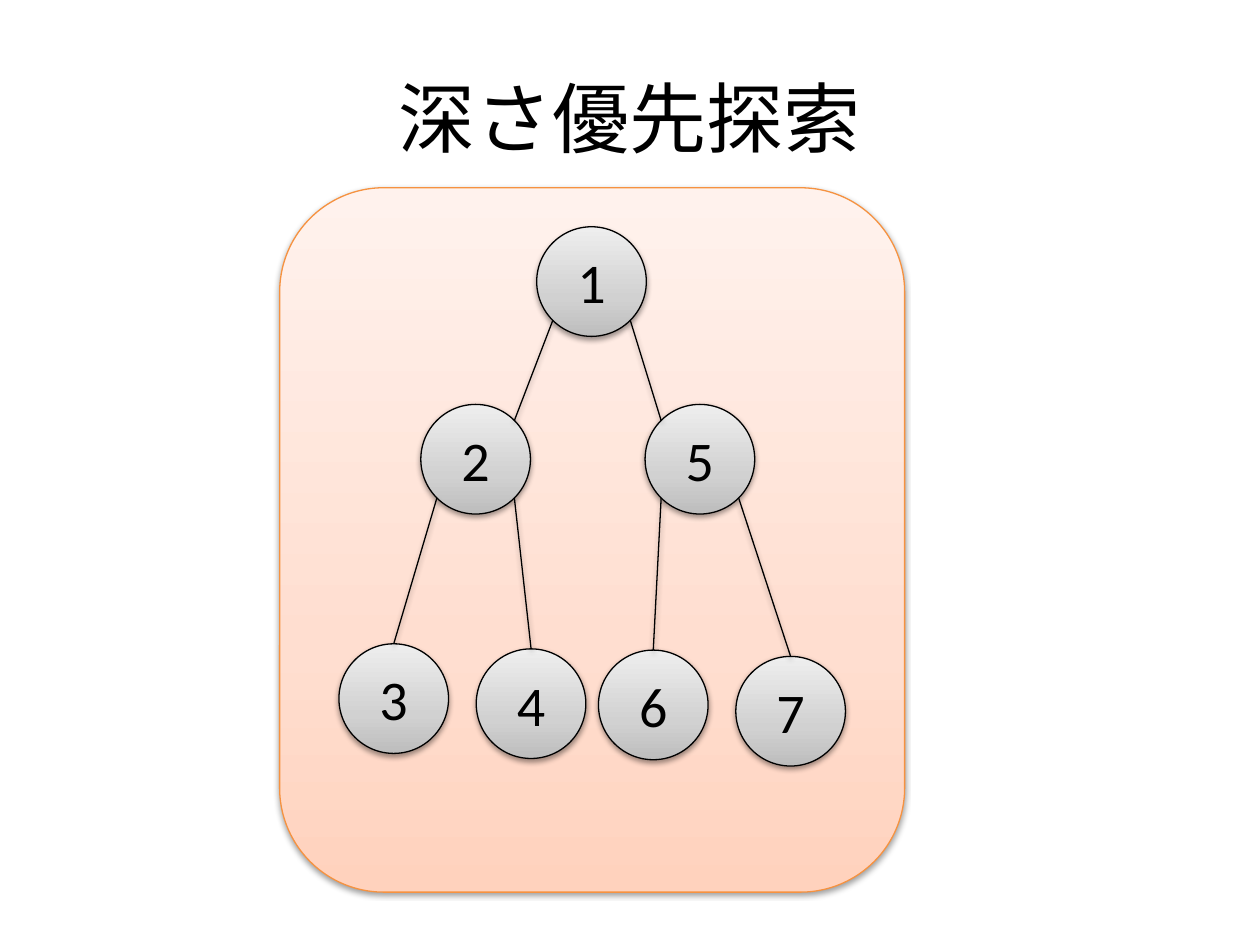
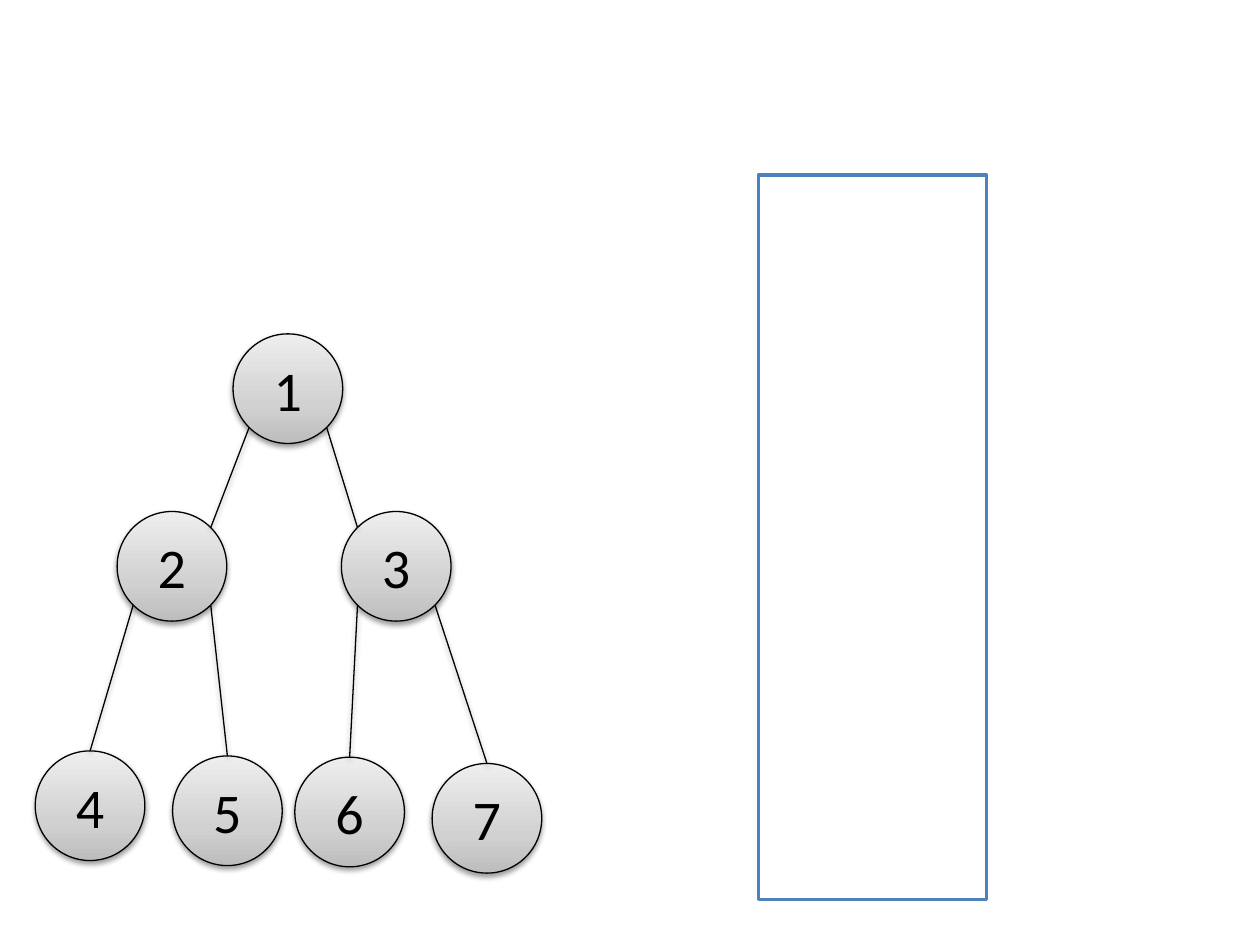
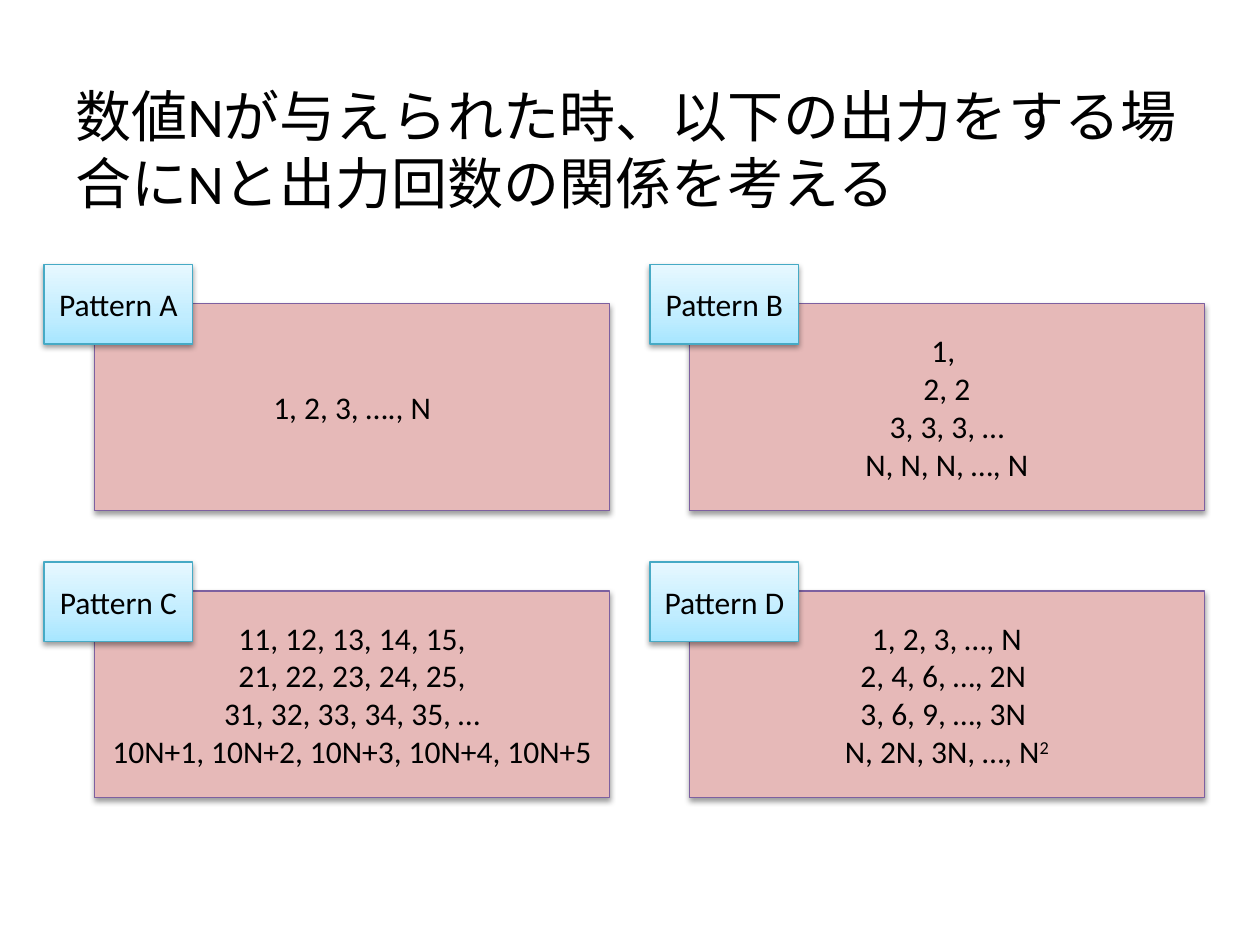
from math import sqrt

from lxml import etree
from pptx import Presentation
from pptx.dml.color import RGBColor
from pptx.enum.shapes import MSO_CONNECTOR, MSO_SHAPE
from pptx.enum.text import MSO_ANCHOR, PP_ALIGN
from pptx.oxml.ns import qn
from pptx.util import Inches, Pt

RECTANGLE = MSO_SHAPE.RECTANGLE
ROUNDED = MSO_SHAPE.ROUNDED_RECTANGLE
OVAL = MSO_SHAPE.OVAL
STRAIGHT = MSO_CONNECTOR.STRAIGHT
CENTER, LEFT = PP_ALIGN.CENTER, PP_ALIGN.LEFT
MIDDLE, TOP = MSO_ANCHOR.MIDDLE, MSO_ANCHOR.TOP

BLACK = RGBColor(0x00, 0x00, 0x00)
WHITE = RGBColor(0xFF, 0xFF, 0xFF)
BLUE = RGBColor(0x4F, 0x81, 0xBD)
ORANGE = RGBColor(0xF6, 0x92, 0x40)
TEAL = RGBColor(0x46, 0xAA, 0xC5)
PURPLE = RGBColor(0x7D, 0x60, 0xA0)
PINK = RGBColor(0xE6, 0xB9, 0xB8)
GRAYS = (RGBColor(0xBD, 0xBD, 0xBD), RGBColor(0xD1, 0xD1, 0xD1), RGBColor(0xEE, 0xEE, 0xEE))
PEACHES = (RGBColor(0xFF, 0xD2, 0xBD), RGBColor(0xFF, 0xDE, 0xD0), RGBColor(0xFF, 0xF2, 0xED))
SKIES = (RGBColor(0xA7, 0xE6, 0xFF), RGBColor(0xC1, 0xED, 0xFF), RGBColor(0xE7, 0xF8, 0xFF))
STOPS = (0, 35000, 100000)

NODE = 0.87
CORNER = NODE / 2 / sqrt(2)
NODE_OFFSETS = [(0, 0), (-0.92, 1.41), (0.86, 1.41),
                (-1.57, 3.31), (-0.48, 3.35), (0.49, 3.36), (1.58, 3.41)]


class Deck:
    font_format = {"name": "Calibri"}

    def __init__(self, width, height):
        self.presentation = Presentation()
        self.presentation.slide_width = Inches(width)
        self.presentation.slide_height = Inches(height)

    def new_slide(self):
        self.slide = self.presentation.slides.add_slide(self.presentation.slide_layouts[6])
        self.shapes = self.slide.shapes

    def set_text(self, shape, lines, size, align=CENTER, anchor=MIDDLE, space_before=0):
        frame = shape.text_frame
        frame.word_wrap = True
        frame.vertical_anchor = anchor
        for index, line in enumerate(lines):
            paragraph = frame.add_paragraph() if index else frame.paragraphs[0]
            paragraph.alignment = align
            paragraph.space_before = Pt(space_before)
            base, _, exponent = line.partition("^")
            for text, raised in ((base, False), (exponent, True)):
                if text:
                    run = paragraph.add_run()
                    run.text = text
                    for name, value in {**self.font_format, "size": Pt(size)}.items():
                        setattr(run.font, name, value)
                    run.font.color.rgb = BLACK
                    if raised:
                        run.font._element.set("baseline", "30000")

    def title(self, text, top, height, size, **layout):
        box = self.shapes.add_textbox(Inches(0.5), Inches(top), Inches(9), Inches(height))
        self.set_text(box, [text], size, **layout)

    def shadow(self, shape):
        effects = etree.SubElement(shape._element.spPr, qn("a:effectLst"))
        outer = etree.SubElement(effects, qn("a:outerShdw"), blurRad="40000", dist="20000",
                                 dir="5400000", rotWithShape="0")
        color = etree.SubElement(outer, qn("a:srgbClr"), val=str(BLACK))
        etree.SubElement(color, qn("a:alpha"), val="38000")

    def gradient(self, shape, colors):
        shape.fill.gradient()
        shape.fill.gradient_angle = 90
        stops = shape._element.spPr.find(".//" + qn("a:gsLst"))
        for stop in list(stops):
            stops.remove(stop)
        for position, color in zip(STOPS, colors):
            stop = etree.SubElement(stops, qn("a:gs"), pos=str(position))
            etree.SubElement(stop, qn("a:srgbClr"), val=str(color))

    def box(self, kind, left, top, width, height, fill, line, weight=0.75, shadow=True, parent=None):
        shapes = parent.shapes if parent else self.shapes
        shape = shapes.add_shape(kind, Inches(left), Inches(top), Inches(width), Inches(height))
        if isinstance(fill, RGBColor):
            shape.fill.solid()
            shape.fill.fore_color.rgb = fill
        else:
            self.gradient(shape, fill)
        shape.line.color.rgb = line
        shape.line.width = Pt(weight)
        if shadow:
            self.shadow(shape)
        else:
            shape.shadow.inherit = False
        return shape

    def edge(self, *ends):
        line = self.shapes.add_connector(STRAIGHT, *(Inches(end) for end in ends))
        line.line.color.rgb = BLACK
        line.line.width = Pt(0.75)
        self.shadow(line)

    def tree(self, left, top, labels):
        for label, (across, down) in zip(labels, NODE_OFFSETS):
            node = self.box(OVAL, left + across, top + down, NODE, NODE, GRAYS, BLACK)
            self.set_text(node, [label], 32)
        centers = [(left + across + NODE / 2, top + down + NODE / 2) for across, down in NODE_OFFSETS]
        for child in range(1, len(centers)):
            parent_x, parent_y = centers[(child - 1) // 2]
            child_x, child_y = centers[child]
            side = CORNER if child % 2 == 0 else -CORNER
            if child < 3:
                end = (child_x - side, child_y - CORNER)
            else:
                end = (child_x, child_y - NODE / 2)
            self.edge(parent_x + side, parent_y + CORNER, *end)

    def pattern(self, name, lines, panel_left, panel_top, tag_left, tag_top):
        group = self.shapes.add_group_shape()
        panel = self.box(RECTANGLE, panel_left, panel_top, 4.09, 1.64, PINK, PURPLE, parent=group)
        self.set_text(panel, lines, 18)
        tag = self.box(RECTANGLE, tag_left, tag_top, 1.18, 0.63, SKIES, TEAL, parent=group)
        self.set_text(tag, ["Pattern " + name], 18)


deck = Deck(10, 7.5)

deck.new_slide()
deck.title("深さ優先探索", 0.3, 1.25, 44)
deck.box(ROUNDED, 2.22, 1.49, 4.96, 5.59, PEACHES, ORANGE)
deck.tree(4.26, 1.8, "1253467")

deck.new_slide()
deck.box(RECTANGLE, 6.02, 1.39, 1.81, 5.75, WHITE, BLUE, weight=2, shadow=False)
deck.tree(1.85, 2.65, "1234567")

deck.new_slide()
deck.title("数値Nが与えられた時、以下の出力をする場合にNと出力回数の関係を考える",
           0.6, 6.1, 32, align=LEFT, anchor=TOP, space_before=6.4)
COLUMNS = [(0.75, 0.35), (5.47, 5.16)]
ROWS = [(2.41, 2.1), (4.69, 4.46)]
PATTERNS = [
    ("A", ["1, 2, 3, …., N"]),
    ("C", ["11, 12, 13, 14, 15,", "21, 22, 23, 24, 25,", "31, 32, 33, 34, 35, …",
           "10N+1, 10N+2, 10N+3, 10N+4, 10N+5"]),
    ("B", ["1, ", "2, 2", "3, 3, 3, …", "N, N, N, …, N"]),
    ("D", ["1, 2, 3, …, N", "2, 4, 6, …, 2N ", "3, 6, 9, …, 3N ", "N, 2N, 3N, …, N^2"]),
]
for index, (name, lines) in enumerate(PATTERNS):
    column, row = divmod(index, 2)
    panel_left, tag_left = COLUMNS[column]
    panel_top, tag_top = ROWS[row]
    deck.pattern(name, lines, panel_left, panel_top, tag_left, tag_top)

deck.presentation.save("out.pptx")
